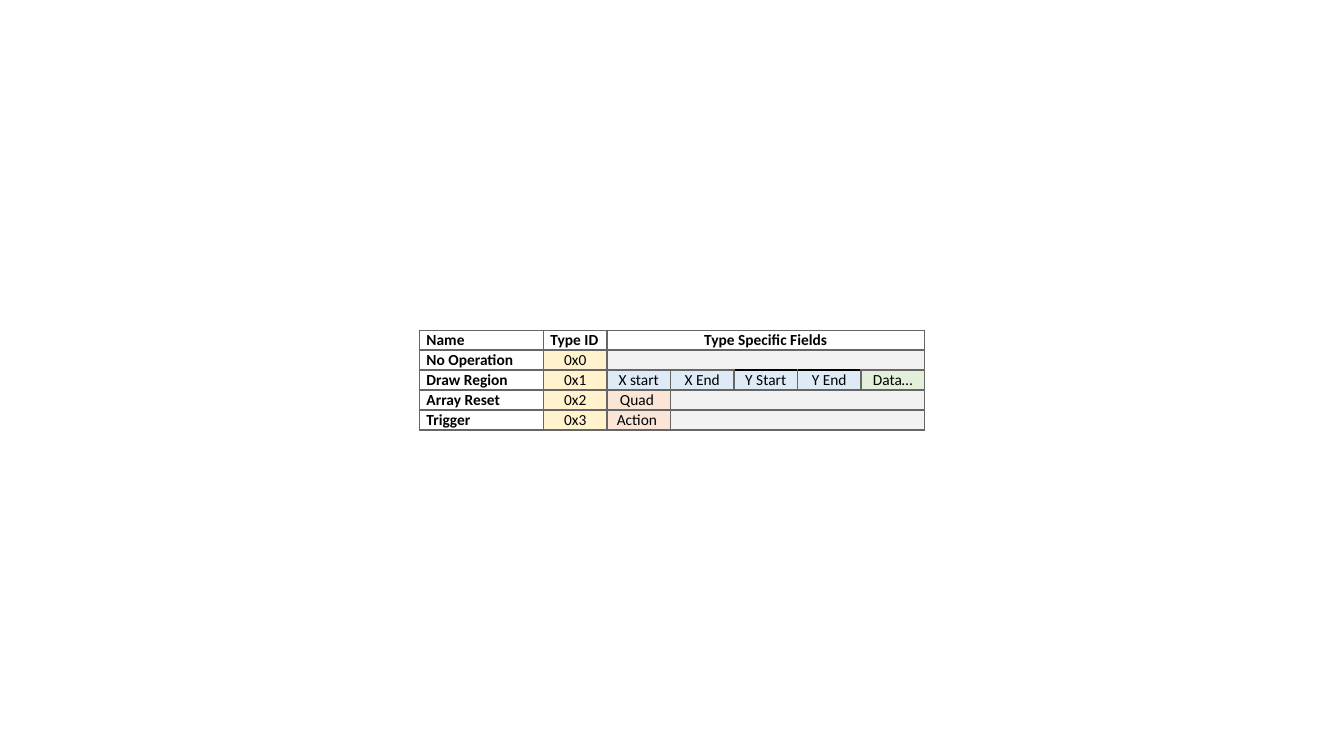
from dataclasses import dataclass

from lxml.etree import SubElement
from pptx import Presentation
from pptx.dml.color import RGBColor
from pptx.enum.text import MSO_ANCHOR, PP_ALIGN
from pptx.oxml.ns import qn
from pptx.table import _Cell
from pptx.util import Inches, Pt

COLORS = {
    "text": "000000", "border": "666666", "plain": "FFFFFF", "unused": "F2F2F2",
    "id": "FFF2CC", "coord": "DEEAF6", "data": "E2EFD9", "arg": "FBE5D6",
}
FONT, SIZE = "Calibri", 11
NAME_W, FIELD_W, ROW_H = Inches(1.23), Inches(0.63), Inches(0.19)
FIELDS = 5


@dataclass(frozen=True)
class Field:
    text: str
    fill: str
    span: int = 1
    bold: bool = False
    align: PP_ALIGN = PP_ALIGN.CENTER
    top: str = "border"


def label(text: str) -> Field:
    return Field(text, "plain", bold=True, align=PP_ALIGN.JUSTIFY)


def command(name: str, type_id: int, *fields: Field) -> list[Field]:
    row = [label(name), Field(f"0x{type_id}", "id"), *fields]
    free = FIELDS - len(fields)
    return row + ([Field("", "unused", free)] if free else [])


ROWS = [
    [label("Name"), label("Type ID"),
     Field("Type Specific Fields", "plain", FIELDS, bold=True)],
    command("No Operation", 0),
    command("Draw Region", 1, Field("X start", "coord"), Field("X End", "coord"),
            Field("Y Start", "coord", top="text"), Field("Y End", "coord", top="text"),
            Field("Data…", "data")),
    command("Array Reset", 2, Field("Quad\u00a0", "arg")),
    command("Trigger", 3, Field("Action\u00a0", "arg")),
]


def add_border(cell: _Cell, side: str, *, color: str, width: float) -> None:
    ln = SubElement(cell._tc.get_or_add_tcPr(), qn(f"a:ln{side}"), w=str(Pt(width)))
    fill = SubElement(ln, qn("a:solidFill"))
    SubElement(fill, qn("a:srgbClr"), val=COLORS[color])


def write(cell: _Cell, text: str, *, bold: bool, align: PP_ALIGN) -> None:
    p = cell.text_frame.paragraphs[0]
    p.alignment, p.line_spacing = align, 1.05
    if not text:
        SubElement(p._p, qn("a:endParaRPr"), sz=str(SIZE * 100))
        return
    r = p.add_run()
    r.text = text
    r.font.name, r.font.size, r.font.bold = FONT, Pt(SIZE), bold
    r.font.color.rgb = RGBColor.from_string(COLORS["text"])


def draw_cell(cell: _Cell, field: Field, row: int, *, text: str) -> None:
    cell.margin_left = cell.margin_right = Inches(0.07)
    cell.margin_top = cell.margin_bottom = 0
    cell.vertical_anchor = MSO_ANCHOR.TOP
    for side in "LR":
        add_border(cell, side, color="border", width=1)
    add_border(cell, "T", color=field.top, width=1.5 if row == 1 else 1)
    add_border(cell, "B", color="border", width=1.5 if row == 0 else 1)
    cell.fill.solid()
    cell.fill.fore_color.rgb = RGBColor.from_string(COLORS[field.fill])
    write(cell, text, bold=field.bold, align=field.align)


prs = Presentation()
prs.slide_width, prs.slide_height = Inches(13.33), Inches(7.5)
s = prs.slides.add_slide(prs.slide_layouts[6])

widths = [NAME_W] + [FIELD_W] * (FIELDS + 1)
w, h = sum(widths), ROW_H * len(ROWS)
sp = s.shapes.add_table(len(ROWS), len(widths), (prs.slide_width - w) // 2,
                        (prs.slide_height - h) // 2, w, h)
table = sp.table
table.first_row = table.horz_banding = False
for column, width in zip(table.columns, widths):
    column.width = width

for i, fields in enumerate(ROWS):
    table.rows[i].height = ROW_H
    col = 0
    for field in fields:
        for k in range(field.span):
            draw_cell(table.cell(i, col + k), field, i, text="" if k else field.text)
        if field.span > 1:
            table.cell(i, col).merge(table.cell(i, col + field.span - 1))
        col += field.span

prs.save("out.pptx")
